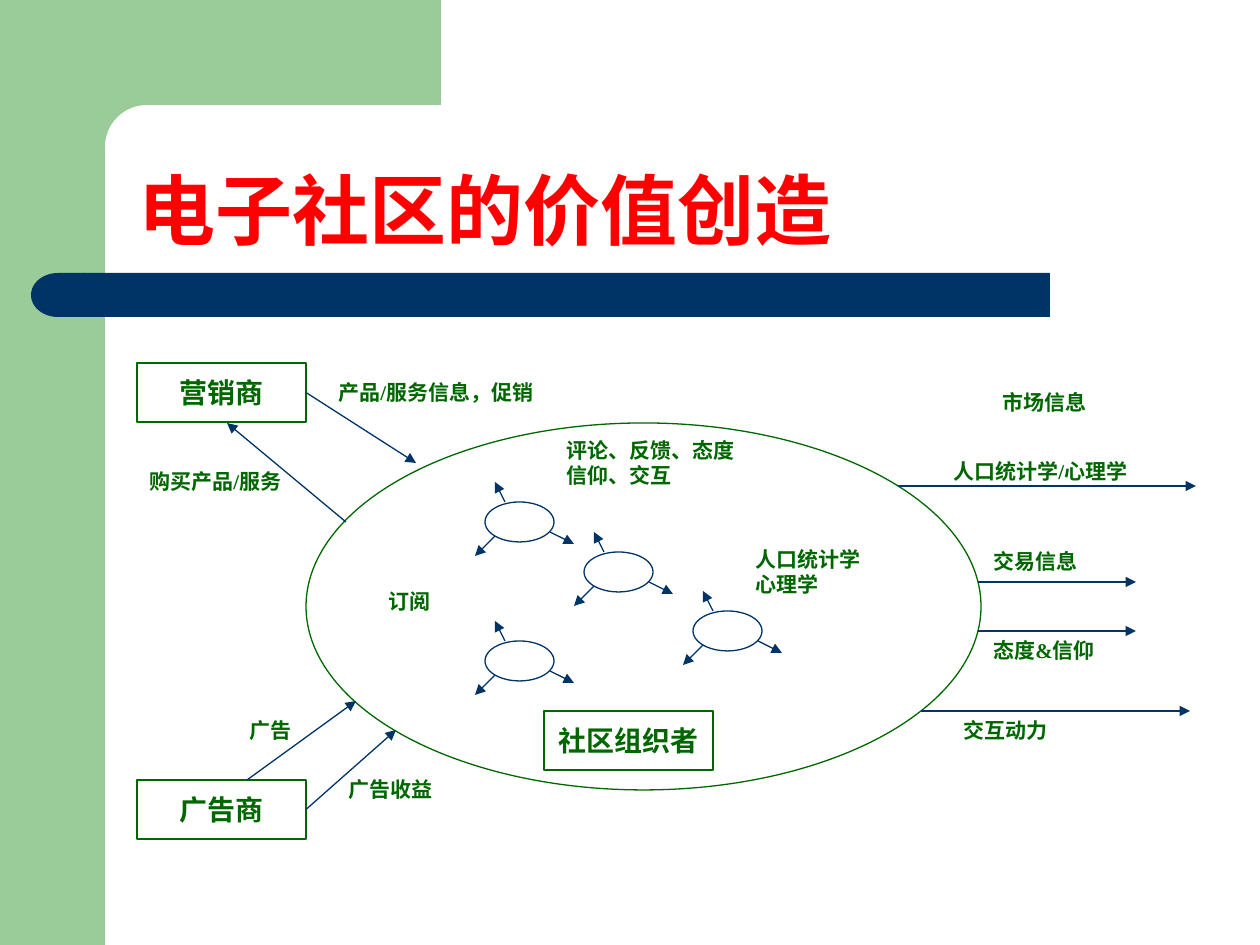
"""Draw the value creation diagram of an electronic community."""
from dataclasses import dataclass
from typing import NamedTuple, Optional

from lxml.etree import SubElement
from pptx import Presentation
from pptx.dml.color import RGBColor
from pptx.enum.shapes import MSO_CONNECTOR as Connector, MSO_SHAPE as Preset
from pptx.enum.text import MSO_ANCHOR as Anchor, PP_ALIGN as Align
from pptx.oxml.ns import qn
from pptx.util import Emu, Pt

PX_PER_INCH = 126
RIGHT_SIDE = 3
LABEL_WIDTH, LONG_LABEL_WIDTH, NODE_WIDTH, ROW_HEIGHT = 199, 240, 169, 59
MEMBER_WIDTH, MEMBER_HEIGHT = 69, 40


@dataclass(frozen=True)
class Theme:
    green: str = "99CC99"
    navy: str = "003366"
    forest: str = "006600"
    red: str = "FF0000"
    white: str = "FFFFFF"
    title_font: str = "Arial"
    body_font: str = "Times New Roman"
    title_size: int = 44
    node_size: int = 16
    label_size: int = 12
    line_width: float = 0.75


class Box(NamedTuple):
    left: int
    top: int
    width: int
    height: int


class Label(NamedTuple):
    text: str
    left: int
    top: int
    width: int = LABEL_WIDTH


class Arrow(NamedTuple):
    x1: int
    y1: int
    x2: int
    y2: int
    source: Optional[str] = None


THEME = Theme()
COMMUNITY = Box(306, 423, 675, 367)
MEMBERS = [(485, 502), (584, 552), (693, 611), (485, 641)]
MEMBER_ARROWS = [Arrow(20, 0, 10, -20), Arrow(10, 34, -10, 54), Arrow(65, 30, 89, 42)]
ORGANISER = Label("社区组织者", 544, 711, NODE_WIDTH)
PARTNERS = [Label("营销商", 137, 363, NODE_WIDTH), Label("广告商", 137, 780, NODE_WIDTH)]
INNER_LABELS = [
    Label("评论、反馈、态度\n信仰、交互", 554, 433),
    Label("人口统计学\n心理学", 743, 542),
    Label("订阅", 376, 572),
]
OUTER_LABELS = [
    Label("产品/服务信息，促销", 326, 363, LONG_LABEL_WIDTH),
    Label("购买产品/服务", 137, 452),
    Label("广告", 237, 701),
    Label("广告收益", 336, 760),
    Label("人口统计学/心理学", 941, 442, LONG_LABEL_WIDTH),
    Label("市场信息", 990, 373),
    Label("交易信息", 981, 532),
    Label("态度&信仰", 981, 621),
    Label("交互动力", 951, 701),
]
FLOWS = [
    Arrow(306, 393, 416, 463, "营销商"),
    Arrow(346, 522, 227, 423),
    Arrow(247, 780, 356, 701),
    Arrow(306, 810, 396, 730, "广告商"),
    Arrow(898, 486, 1196, 486),
    Arrow(978, 582, 1136, 582),
    Arrow(978, 631, 1136, 631),
    Arrow(921, 711, 1190, 711),
]


def px(length: int) -> Emu:
    """Turn pixels into EMU."""
    return Emu(round(length * 914400 / PX_PER_INCH))


def color(value: str) -> RGBColor:
    """Read a hex colour."""
    return RGBColor.from_string(value)


def add_preset(slide, preset, box: Box, fill: Optional[str] = None,
               line: Optional[str] = None, radius: Optional[float] = None):
    """Add a preset shape with flat fill and outline."""
    shape = slide.shapes.add_shape(preset, *map(px, box))
    shape.shadow.inherit = False
    if radius is not None:
        shape.adjustments[0] = radius
    if fill:
        shape.fill.solid()
        shape.fill.fore_color.rgb = color(fill)
    else:
        shape.fill.background()
    if line:
        shape.line.color.rgb = color(line)
        shape.line.width = Pt(THEME.line_width)
    else:
        shape.line.fill.background()
    return shape


def write_text(shape, text: str, *, size: int, font: str = THEME.body_font,
               fill: str = THEME.forest, align=Align.LEFT, anchor=Anchor.MIDDLE,
               spacing: float = 1.0) -> None:
    """Write bold text into a shape, one paragraph per line."""
    frame = shape.text_frame
    frame.word_wrap = True
    frame.vertical_anchor = anchor
    frame.text = text
    for paragraph in frame.paragraphs:
        paragraph.alignment = align
        paragraph.line_spacing = spacing
        paragraph.font.size = Pt(size)
        paragraph.font.name = font
        paragraph.font.bold = True
        paragraph.font.color.rgb = color(fill)


def add_label(slide, label: Label) -> None:
    """Add a small caption."""
    box = Box(label.left, label.top, label.width, ROW_HEIGHT)
    write_text(slide.shapes.add_textbox(*map(px, box)), label.text, size=THEME.label_size)


def add_node(slide, label: Label):
    """Add an outlined box with a centred name."""
    box = Box(label.left, label.top, label.width, ROW_HEIGHT)
    shape = add_preset(slide, Preset.RECTANGLE, box, THEME.white, THEME.forest)
    write_text(shape, label.text, size=THEME.node_size, align=Align.CENTER)
    return shape


def add_arrow(slide, arrow: Arrow, source=None) -> None:
    """Add a straight arrow, joined to the right side of its source."""
    connector = slide.shapes.add_connector(Connector.STRAIGHT, *map(px, arrow[:4]))
    if source is not None:
        connector.begin_connect(source, RIGHT_SIDE)
    connector.line.color.rgb = color(THEME.navy)
    connector.line.width = Pt(THEME.line_width)
    SubElement(connector.line._get_or_add_ln(), qn("a:tailEnd"), type="triangle")
    SubElement(connector._element.spPr, qn("a:effectLst"))


def add_member(slide, left: int, top: int) -> None:
    """Add a community member with its three arrows."""
    box = Box(left, top, MEMBER_WIDTH, MEMBER_HEIGHT)
    add_preset(slide, Preset.OVAL, box, THEME.white, THEME.navy)
    for x1, y1, x2, y2, _ in MEMBER_ARROWS:
        add_arrow(slide, Arrow(left + x1, top + y1, left + x2, top + y2))


def add_frame(slide) -> None:
    """Add the background bands and the title."""
    add_preset(slide, Preset.RECTANGLE, Box(0, 0, 105, 945), THEME.green)
    add_preset(slide, Preset.RECTANGLE, Box(94, 0, 347, 147), THEME.green)
    add_preset(slide, Preset.ROUNDED_RECTANGLE, Box(105, 105, 703, 84), THEME.white, radius=0.5)
    add_preset(slide, Preset.ROUNDED_RECTANGLE, Box(84, 273, 966, 44), THEME.navy, radius=0)
    cap = add_preset(slide, Preset.FLOWCHART_DELAY, Box(31, 273, 54, 44), THEME.navy)
    cap._element.spPr.xfrm.set("flipH", "1")
    title = slide.shapes.add_textbox(*map(px, Box(126, 105, 1102, 157)))
    write_text(title, "电子社区的价值创造", size=THEME.title_size, font=THEME.title_font,
               fill=THEME.red, anchor=Anchor.BOTTOM, spacing=0.9)


def main() -> None:
    """Build and save the slide."""
    presentation = Presentation()
    presentation.slide_width, presentation.slide_height = px(1260), px(945)
    slide = presentation.slides.add_slide(presentation.slide_layouts[6])
    add_frame(slide)
    for left, top in MEMBERS:
        add_member(slide, left, top)
    add_node(slide, ORGANISER)
    for label in INNER_LABELS:
        add_label(slide, label)
    add_preset(slide, Preset.OVAL, COMMUNITY, line=THEME.forest)
    partners = {label.text: add_node(slide, label) for label in PARTNERS}
    for label in OUTER_LABELS:
        add_label(slide, label)
    for arrow in FLOWS:
        add_arrow(slide, arrow, partners.get(arrow.source))
    presentation.save("out.pptx")


if __name__ == "__main__":
    main()
